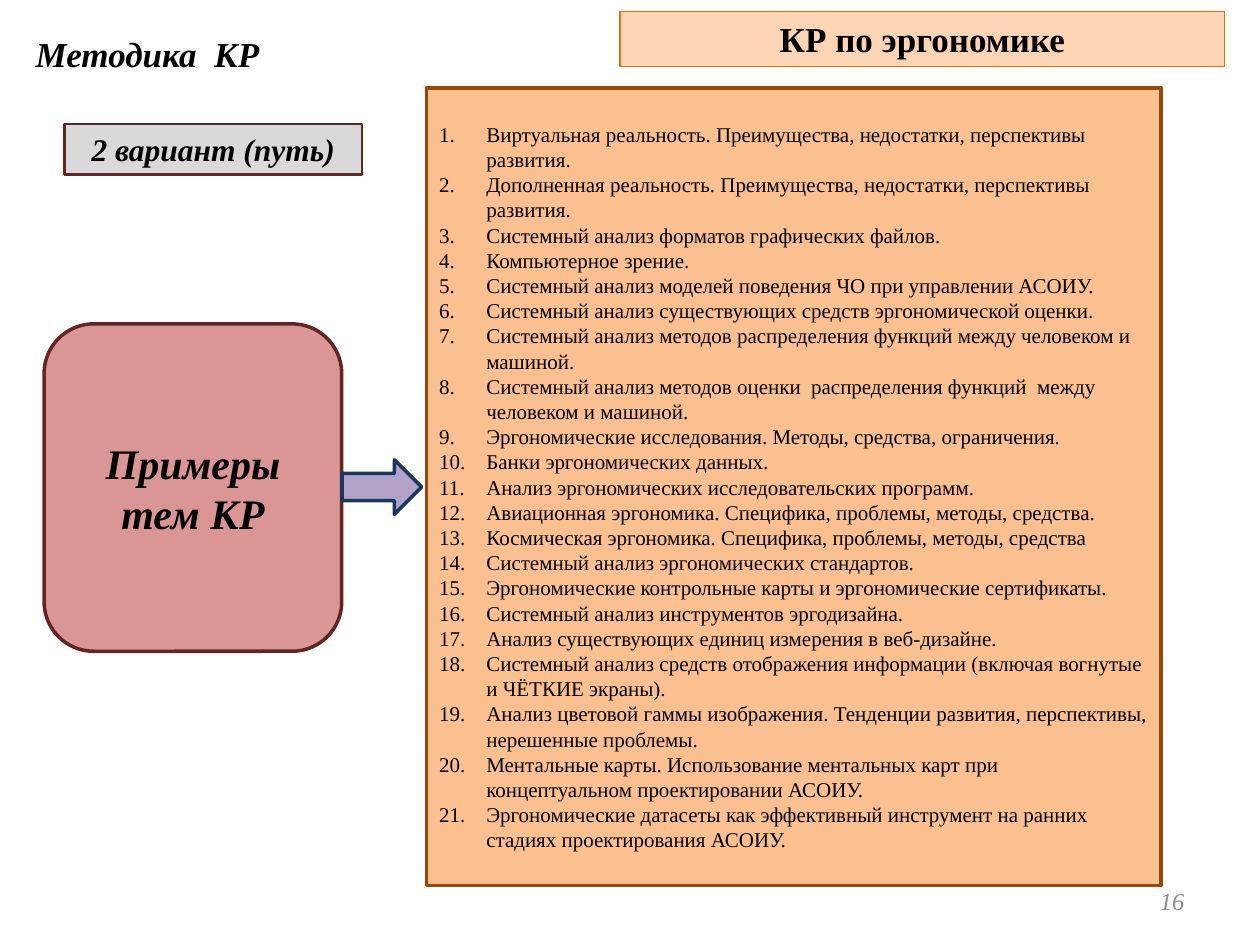
from dataclasses import dataclass

from lxml import etree
from pptx import Presentation
from pptx.dml.color import RGBColor
from pptx.enum.shapes import MSO_SHAPE
from pptx.enum.text import MSO_ANCHOR, MSO_AUTO_SIZE, PP_ALIGN
from pptx.oxml.ns import qn
from pptx.util import Cm, Pt

LEFT, CENTER, RIGHT = PP_ALIGN.LEFT, PP_ALIGN.CENTER, PP_ALIGN.RIGHT
MIDDLE = MSO_ANCHOR.MIDDLE
NO_AUTOFIT = MSO_AUTO_SIZE.NONE
RECTANGLE = MSO_SHAPE.RECTANGLE
ROUNDED = MSO_SHAPE.ROUNDED_RECTANGLE
RIGHT_ARROW = MSO_SHAPE.RIGHT_ARROW
TITLE_AND_CONTENT = 1


@dataclass(frozen=True)
class Theme:
    font: str = "Times New Roman"
    ink: str = "000000"
    muted: str = "8C8C8C"
    course_fill: str = "FCD5B5"
    course_line: str = "E46C0A"
    variant_fill: str = "D9D9D9"
    maroon: str = "632523"
    examples_fill: str = "D99694"
    topics_fill: str = "FAC090"
    topics_line: str = "984807"
    arrow_fill: str = "B3A2C7"
    arrow_line: str = "17375E"
    heading: int = 20
    variant: int = 18
    examples: int = 24
    topic: int = 12
    topic_leading: float = 14.4
    number: int = 14


@dataclass(frozen=True)
class Box:
    """A rectangle in centimetres."""
    left: float
    top: float
    width: float
    height: float

    def inner(self, dx, dy, width, height):
        return Box(self.left + dx, self.top + dy, width, height)

    def lengths(self):
        return [Cm(v) for v in (self.left, self.top, self.width, self.height)]


THEME = Theme()
TOPICS = [
    "Виртуальная реальность. Преимущества, недостатки, перспективы развития.",
    "Дополненная реальность. Преимущества, недостатки, перспективы развития.",
    "Системный анализ форматов графических файлов.",
    "Компьютерное зрение.",
    "Системный анализ моделей поведения ЧО при управлении АСОИУ.",
    "Системный анализ существующих средств эргономической оценки.",
    "Системный анализ методов распределения функций между человеком и машиной.",
    "Системный анализ методов оценки  распределения функций  между человеком и машиной.",
    "Эргономические исследования. Методы, средства, ограничения.",
    "Банки эргономических данных.",
    "Анализ эргономических исследовательских программ.",
    "Авиационная эргономика. Специфика, проблемы, методы, средства.",
    "Космическая эргономика. Специфика, проблемы, методы, средства",
    "Системный анализ эргономических стандартов.",
    "Эргономические контрольные карты и эргономические сертификаты.",
    "Системный анализ инструментов эргодизайна.",
    "Анализ существующих единиц измерения в веб-дизайне.",
    "Системный анализ средств отображения информации (включая вогнутые и ЧЁТКИЕ экраны).",
    "Анализ цветовой гаммы изображения. Тенденции развития, перспективы, нерешенные проблемы.",
    "Ментальные карты. Использование ментальных карт при концептуальном проектировании АСОИУ.",
    "Эргономические датасеты как эффективный инструмент на ранних стадиях проектирования АСОИУ.",
]


def write(holder, *lines, size, color=THEME.ink, bold=False, italic=False,
          align=LEFT, leading=None):
    """Fill a shape with one paragraph per line and return the paragraphs."""
    frame = holder.text_frame
    frame.word_wrap = True
    frame.auto_size = NO_AUTOFIT
    frame.vertical_anchor = MIDDLE
    frame.text = "\n".join(lines)
    for paragraph in frame.paragraphs:
        paragraph.alignment = align
        paragraph.space_before = Pt(0)
        if leading:
            paragraph.line_spacing = Pt(leading)
        font = paragraph.runs[0].font
        font.name, font.size = THEME.font, Pt(size)
        font.bold, font.italic = bold, italic
        font.color.rgb = RGBColor.from_string(color)
    return frame.paragraphs


def paint(shape, fill, line, weight):
    shape.fill.solid()
    shape.fill.fore_color.rgb = RGBColor.from_string(fill)
    shape.line.color.rgb = RGBColor.from_string(line)
    shape.line.width = Pt(weight)


def add_block(slide, kind, box, fill, line, weight):
    block = slide.shapes.add_shape(kind, *box.lengths())
    block.shadow.inherit = False
    paint(block, fill, line, weight)
    return block


def place(placeholder, box):
    placeholder.left, placeholder.top, placeholder.width, placeholder.height = box.lengths()


def number_paragraph(paragraph, indent):
    properties = paragraph._p.get_or_add_pPr()
    properties.set("marL", str(indent))
    properties.set("indent", str(-indent))
    etree.SubElement(properties, qn("a:buFont"), typeface=THEME.font)
    etree.SubElement(properties, qn("a:buAutoNum"), type="arabicPeriod")


def build_header(slide, box):
    course = slide.shapes.title
    place(course, box.inner(12.2, 0, 12.19, 1.11))
    paint(course, THEME.course_fill, THEME.course_line, 0.75)
    write(course, "КР по эргономике", size=THEME.heading, bold=True, align=CENTER)

    method = slide.shapes.add_textbox(*box.inner(0, 0.28, 11, 1.12).lengths())
    method.text_frame.margin_left = Cm(0.42)
    write(method, "Методика  КР", size=THEME.heading, bold=True, italic=True)


def build_examples(slide, box):
    """Place the variant label, the examples block and the arrow out of it."""
    variant = add_block(slide, RECTANGLE, box.inner(0.41, 0, 6, 1.02),
                        THEME.variant_fill, THEME.maroon, 1.5)
    write(variant, "2 вариант (путь)", size=THEME.variant, bold=True,
          italic=True, align=CENTER)

    examples = add_block(slide, ROUNDED, box.inner(0, 4.03, 6, 6.6),
                         THEME.examples_fill, THEME.maroon, 2)
    write(examples, "Примеры тем КР", size=THEME.examples, bold=True,
          italic=True, align=CENTER)

    add_block(slide, RIGHT_ARROW, box.inner(6.01, 6.77, 1.6, 1.1),
              THEME.arrow_fill, THEME.arrow_line, 2)


def build_topics(slide, box):
    topics = slide.placeholders[1]
    place(topics, box)
    paint(topics, THEME.topics_fill, THEME.topics_line, 2)
    for paragraph in write(topics, *TOPICS, size=THEME.topic,
                           leading=THEME.topic_leading):
        number_paragraph(paragraph, Cm(0.95))


def build_page_number(slide, box):
    number = slide.shapes.add_textbox(*box.lengths())
    write(number, "16", size=THEME.number, color=THEME.muted, italic=True, align=RIGHT)


def main():
    deck = Presentation()
    deck.slide_width, deck.slide_height = Cm(25.4), Cm(19.05)
    slide = deck.slides.add_slide(deck.slide_layouts[TITLE_AND_CONTENT])
    build_header(slide, Box(0.3, 0.23, 24.39, 1.42))
    build_examples(slide, Box(0.89, 2.5, 7.61, 10.63))
    build_topics(slide, Box(8.6, 1.77, 14.81, 16.08))
    build_page_number(slide, Box(18.21, 17.65, 5.92, 1.02))
    deck.save("out.pptx")


if __name__ == "__main__":
    main()
